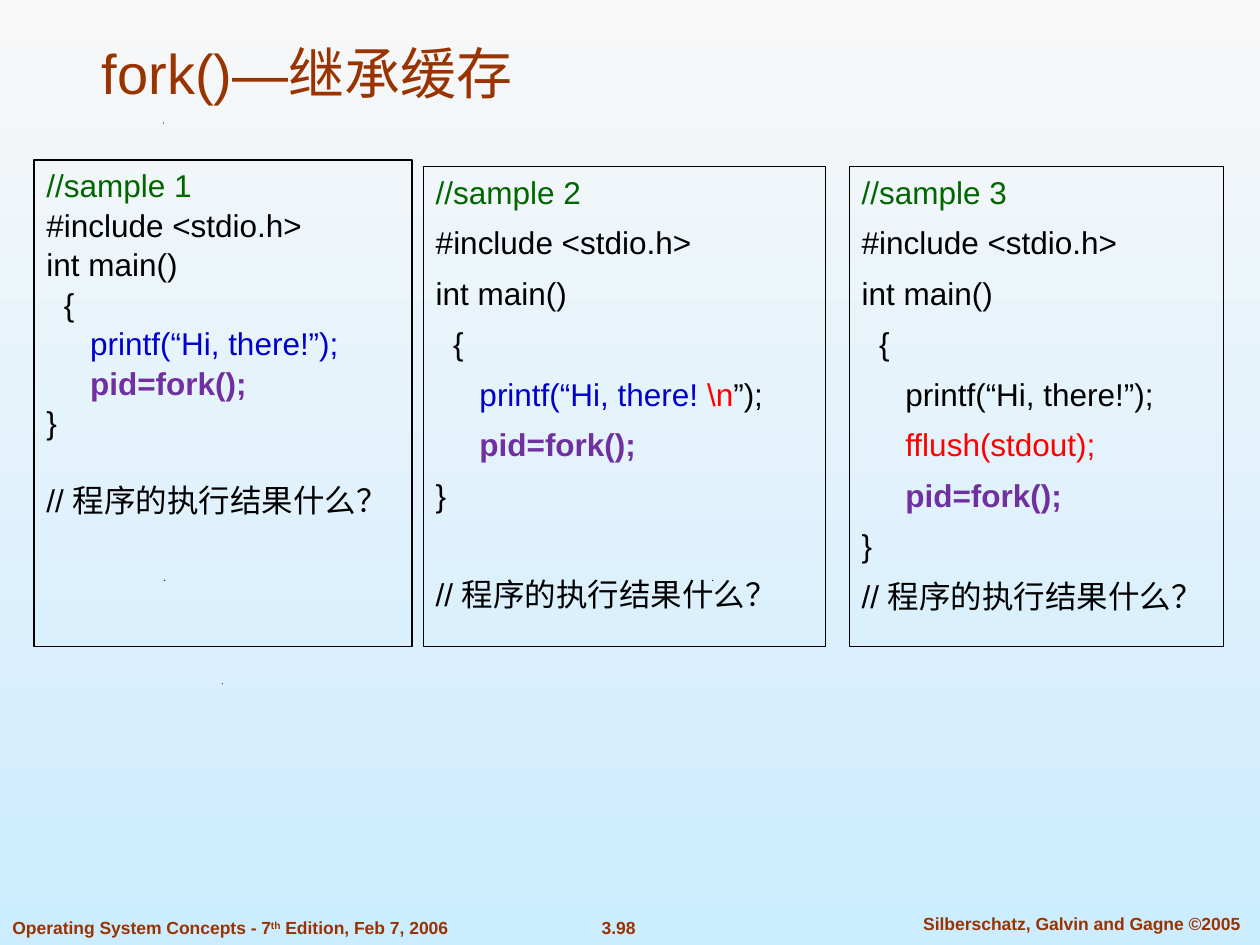
from pptx import Presentation
from pptx.dml.color import RGBColor
from pptx.enum import shapes, text
from pptx.util import Inches, Pt

COLORS = {
    "top": "F8F8F8", "bottom": "CCECFF", "brand": "993300", "black": "000000",
    "comment": "006600", "blue": "0000CC", "red": "FF0000", "purple": "7030A0",
}
LINE_HEIGHT = 20.7  # points, one line of 18 pt Arial


def rgb(name):
    return RGBColor.from_string(COLORS[name])


def add_run(p, content, size, color, bold=False):
    r = p.add_run()
    r.text = content
    r.font.name = "Arial"
    r.font.size = Pt(size)
    r.font.bold = bold
    r.font.color.rgb = rgb(color)
    return r


def add_text_box(s, box, anchor=text.MSO_ANCHOR.TOP, align=text.PP_ALIGN.LEFT):
    sp = s.shapes.add_textbox(*map(Inches, box))
    tf = sp.text_frame
    tf.word_wrap = True
    tf.vertical_anchor = anchor
    p = tf.paragraphs[0]
    p.alignment = align
    return p


def add_background(s):
    fill = s.background.fill
    fill.gradient()
    fill.gradient_angle = 270
    for stop, name in zip(fill.gradient_stops, ("top", "bottom")):
        stop.color.rgb = rgb(name)


def add_speck(s, x, y, size=0.01):
    builder = s.shapes.build_freeform(Inches(x), Inches(y + size))
    builder.add_line_segments([(Inches(x + size), Inches(y)),
                               (Inches(x + size), Inches(y + size))])
    sp = builder.convert_to_shape()
    sp.shadow.inherit = False
    sp.fill.solid()
    sp.fill.fore_color.rgb = rgb("black")
    sp.line.fill.background()


def add_title(s, box):
    p = add_text_box(s, box, text.MSO_ANCHOR.BOTTOM)
    add_run(p, "fork()—继承缓存", 32, "brand")


def add_footer(s, top):
    center = text.PP_ALIGN.CENTER
    p = add_text_box(s, (0, top, 4.09, 0.27))
    add_run(p, "Operating System Concepts - 7", 10, "brand", True)
    r = add_run(p, "th", 10, "brand", True)
    r.font._element.set("baseline", "30000")
    add_run(p, " Edition, Feb 7, 2006", 10, "brand", True)
    p = add_text_box(s, (4.59, top, 0.64, 0.27), align=center)
    add_run(p, "3.98", 10, "brand", True)
    p = add_text_box(s, (7.1, top - 0.03, 2.97, 0.27), align=center)
    add_run(p, "Silberschatz, Galvin and Gagne ©2005", 10, "brand", True)


def add_sample(s, box, number, body, space, gap_before_question):
    """Framed listing; body holds the lines ahead of the fork call."""
    sp = s.shapes.add_shape(shapes.MSO_SHAPE.RECTANGLE, *map(Inches, box))
    sp.shadow.inherit = False
    sp.fill.background()
    sp.line.color.rgb = rgb("black")
    sp.line.width = Pt(0.75)
    tf = sp.text_frame
    tf.word_wrap = True
    tf.vertical_anchor = text.MSO_ANCHOR.TOP

    lines = [
        [(f"//sample {number}", "comment")],
        [("#include <stdio.h>", "black")],
        [("int main()", "black")],
        [("  {", "black")],
        *[[("     ", "black"), *parts] for parts in body],
        [("     ", "black"), ("pid=fork();", "purple")],
        [("}", "black")],
        [("// 程序的执行结果什么？", "black")],
    ]
    for i, parts in enumerate(lines):
        p = tf.paragraphs[0] if i == 0 else tf.add_paragraph()
        p.alignment = text.PP_ALIGN.LEFT
        p.space_before = Pt(space if i else 0)
        for content, color in parts:
            add_run(p, content, 18, color, color == "purple")
    if gap_before_question:
        p.space_before = Pt(LINE_HEIGHT + 2 * space)


def main():
    prs = Presentation()
    prs.slide_width, prs.slide_height = Inches(10), Inches(7.5)
    s = prs.slides.add_slide(prs.slide_layouts[6])

    # Backdrop
    add_background(s)
    for x, y in ((1.76, 5.42), (1.3, 4.6), (5.65, 4.6), (1.29, 0.97)):
        add_speck(s, x, y)
    add_footer(s, 7.23)

    # Title and the three listings
    add_title(s, (0.71, 0.2, 8.5, 0.69))
    hi = "printf(“Hi, there!”);"
    add_sample(s, (0.27, 1.27, 3, 3.86), 1, [[(hi, "blue")]], 1, True)
    add_sample(s, (3.36, 1.32, 3.19, 3.81), 2,
               [[("printf(“Hi, there! ", "blue"), ("\\n", "red"), ("”);", "black")]],
               7.25, True)
    add_sample(s, (6.74, 1.32, 2.97, 3.81), 3,
               [[(hi, "black")], [("fflush(stdout);", "red")]], 7.25, False)

    prs.save("out.pptx")


if __name__ == "__main__":
    main()
